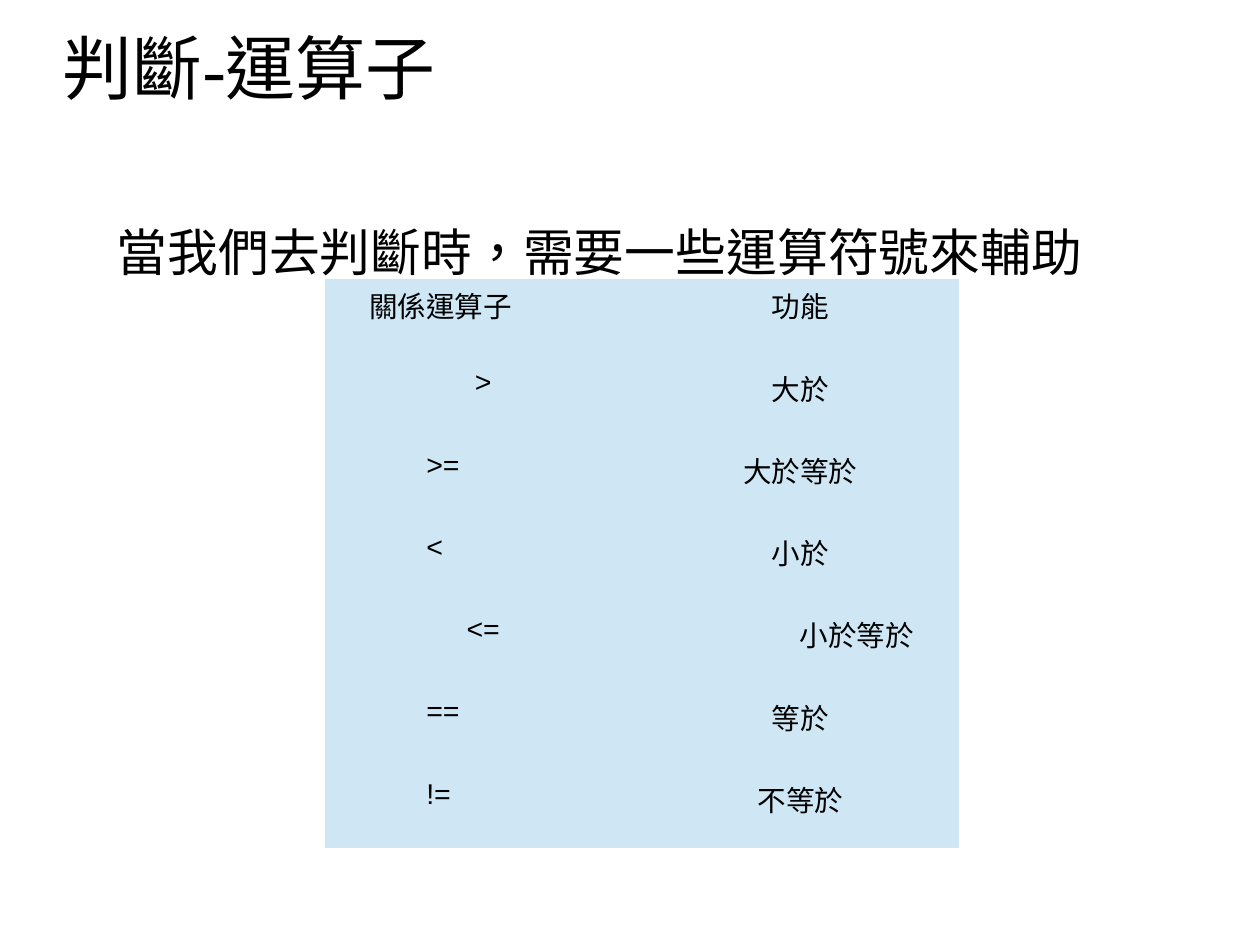
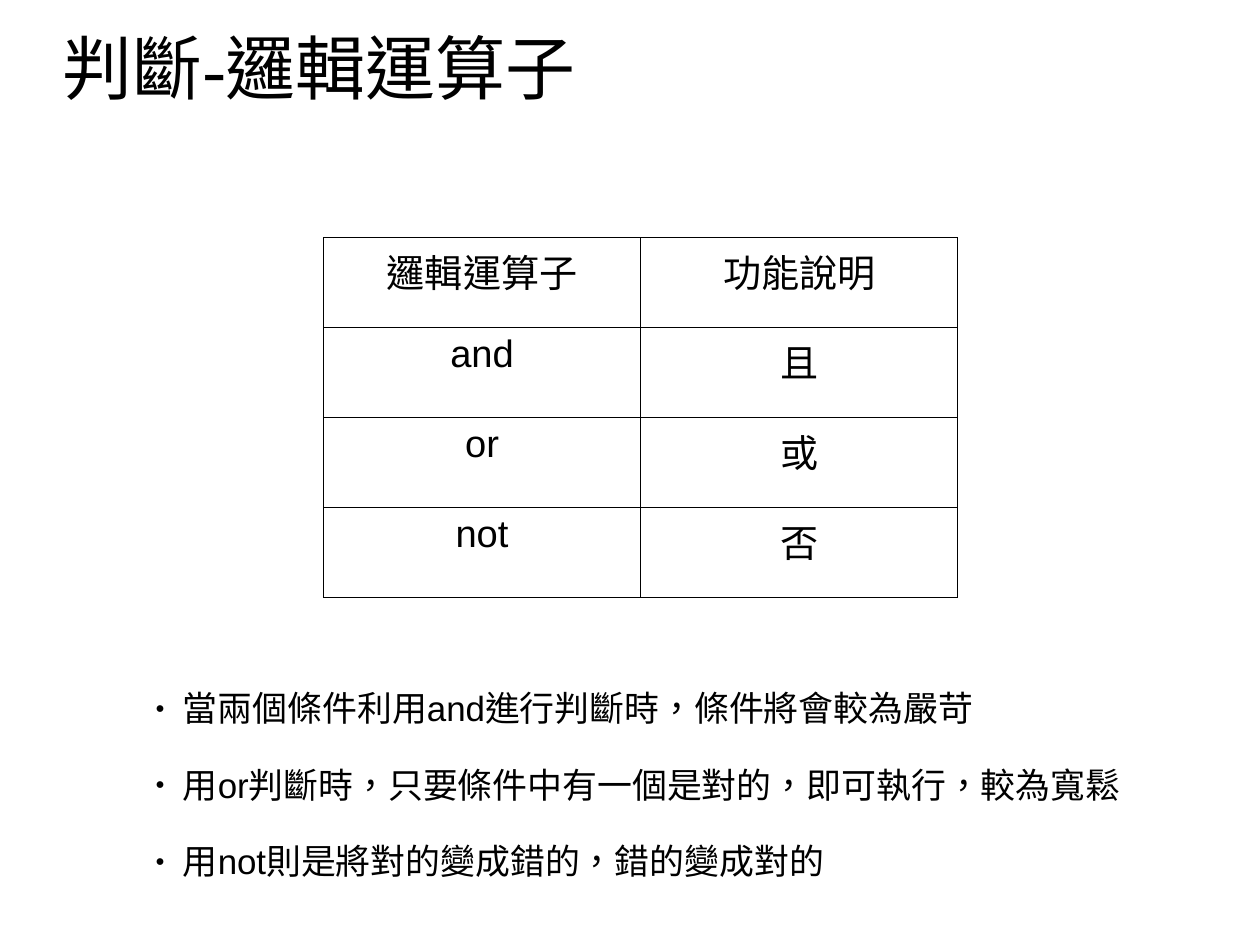
from lxml import etree
from pptx import Presentation
from pptx.dml.color import RGBColor
from pptx.enum.text import MSO_ANCHOR, MSO_AUTO_SIZE, PP_ALIGN
from pptx.oxml import parse_xml
from pptx.oxml.ns import nsdecls, qn
from pptx.util import Inches, Pt

LEFT, CENTER = PP_ALIGN.LEFT, PP_ALIGN.CENTER
TOP, MIDDLE = MSO_ANCHOR.TOP, MSO_ANCHOR.MIDDLE
NO_FIT = MSO_AUTO_SIZE.NONE
BLACK, PALE_BLUE = "000000", "CFE7F5"
SERIF, SANS = "Times New Roman", "Arial"
NO_STYLE = "{2D5ABB26-0587-4C30-8999-92F81FD0307C}"
CM_PER_INCH = 2.54


def rgb(value):
    return RGBColor.from_string(value)


def add_text(p, text, size, font, align=LEFT):
    p.alignment = align
    r = p.add_run()
    r.text = text
    r.font.size = Pt(size)
    r.font.name = font
    r.font.color.rgb = rgb(BLACK)
    r._r.get_or_add_rPr().set("lang", "zh-TW")


slides = [
    {
        "title": "判斷-運算子",
        "body": ["當我們去判斷時，需要一些運算符號來輔助"],
        "body_box": (0.55, 1.93, 9.7, 4.79),
        "body_insets": (0, 0, 0, 0),
        "body_font": (32, SERIF),
        "indent": (0.47, 0),
        "spacing": (0, 14.2),
        "bullet": False,
        "table_box": (2.84, 2.44, 5.55, 4.98),
        "row_heights": [0.72] * 6 + [0.66],
        "table_font": (18, SANS),
        "fill": PALE_BLUE,
        "rows": [
            ("關係運算子", "功能"),
            (">", "大於"),
            (">=", "大於等於"),
            ("<", "小於"),
            ("<=", "小於等於"),
            ("==", "等於"),
            ("!=", "不等於"),
        ],
        "left_insets": {(0, 0): 0.39, (2, 0): 0.89, (3, 0): 0.89,
                        (4, 1): 1.38, (5, 0): 0.89, (6, 0): 0.89},
    },
    {
        "title": "判斷-邏輯運算子",
        "body": [
            "當兩個條件利用and進行判斷時，條件將會較為嚴苛",
            "用or判斷時，只要條件中有一個是對的，即可執行，較為寬鬆",
            "用not則是將對的變成錯的，錯的變成對的",
        ],
        "body_box": (1.26, 5.43, 8.99, 2.55),
        "body_insets": (0.1, 0.58, 0.1, 0.05),
        "body_font": (22, SANS),
        "indent": (0.24, -0.24),
        "spacing": (11.9, 9.9),
        "bullet": True,
        "table_box": (2.83, 2.08, 5.55, 3.15),
        "row_heights": [3.15 / 4] * 4,
        "table_font": (24, SANS),
        "fill": None,
        "rows": [
            ("邏輯運算子", "功能說明"),
            ("and", "且"),
            ("or", "或"),
            ("not", "否"),
        ],
        "left_insets": {},
    },
]

prs = Presentation()
prs.slide_width = Inches(28 / CM_PER_INCH)
prs.slide_height = Inches(21 / CM_PER_INCH)

for data in slides:
    s = prs.slides.add_slide(prs.slide_layouts[1])
    title, body = s.shapes.title, s.placeholders[1]
    for sp, box, insets, anchor in (
        (title, (0.55, 0.33, 8.43, 1.25), (0, 0, 0, 0.75), MIDDLE),
        (body, data["body_box"], data["body_insets"], TOP),
    ):
        sp.left, sp.top, sp.width, sp.height = map(Inches, box)
        tf = sp.text_frame
        tf.margin_left, tf.margin_top, tf.margin_right, tf.margin_bottom = map(Inches, insets)
        tf.word_wrap = True
        tf.auto_size = NO_FIT
        tf.vertical_anchor = anchor
    add_text(title.text_frame.paragraphs[0], data["title"], 44, SERIF)

    tf = body.text_frame
    for i, text in enumerate(data["body"]):
        p = tf.add_paragraph() if i else tf.paragraphs[0]
        before, after = data["spacing"]
        p.space_before = Pt(before if i else 0)
        p.space_after = Pt(after)
        pPr = p._p.get_or_add_pPr()
        margin, indent = data["indent"]
        pPr.set("marL", str(Inches(margin)))
        pPr.set("indent", str(Inches(indent)))
        if data["bullet"]:
            color = etree.SubElement(pPr, qn("a:buClr"))
            etree.SubElement(color, qn("a:srgbClr"), val=BLACK)
            etree.SubElement(pPr, qn("a:buSzPct"), val="45000")
            etree.SubElement(pPr, qn("a:buChar"), char="●")
        else:
            etree.SubElement(pPr, qn("a:buNone"))
        add_text(p, text, *data["body_font"])

    rows = data["rows"]
    table = s.shapes.add_table(len(rows), 2, *map(Inches, data["table_box"])).table
    table.first_row = table.horz_banding = False
    table._tbl.tblPr.find(qn("a:tableStyleId")).text = NO_STYLE
    for col in table.columns:
        col.width = Inches(data["table_box"][2] / 2)
    for i, (row, height) in enumerate(zip(rows, data["row_heights"])):
        table.rows[i].height = Inches(height)
        for j, text in enumerate(row):
            cell = table.cell(i, j)
            inset = data["left_insets"].get((i, j))
            cell.margin_left = Inches(inset or 0.1)
            cell.margin_right = Inches(0.1)
            cell.margin_top = cell.margin_bottom = Inches(0.05)
            add_text(cell.text_frame.paragraphs[0], text, *data["table_font"],
                     align=LEFT if inset else CENTER)
            if data["fill"]:
                cell.fill.solid()
                cell.fill.fore_color.rgb = rgb(data["fill"])
            else:
                tcPr = cell._tc.get_or_add_tcPr()
                for side in ("lnL", "lnR", "lnT", "lnB"):
                    tcPr.append(parse_xml(
                        f'<a:{side} {nsdecls("a")} w="{Pt(0.57)}"><a:solidFill>'
                        f'<a:srgbClr val="{BLACK}"/></a:solidFill></a:{side}>'))
                cell.fill.background()

prs.save("out.pptx")
